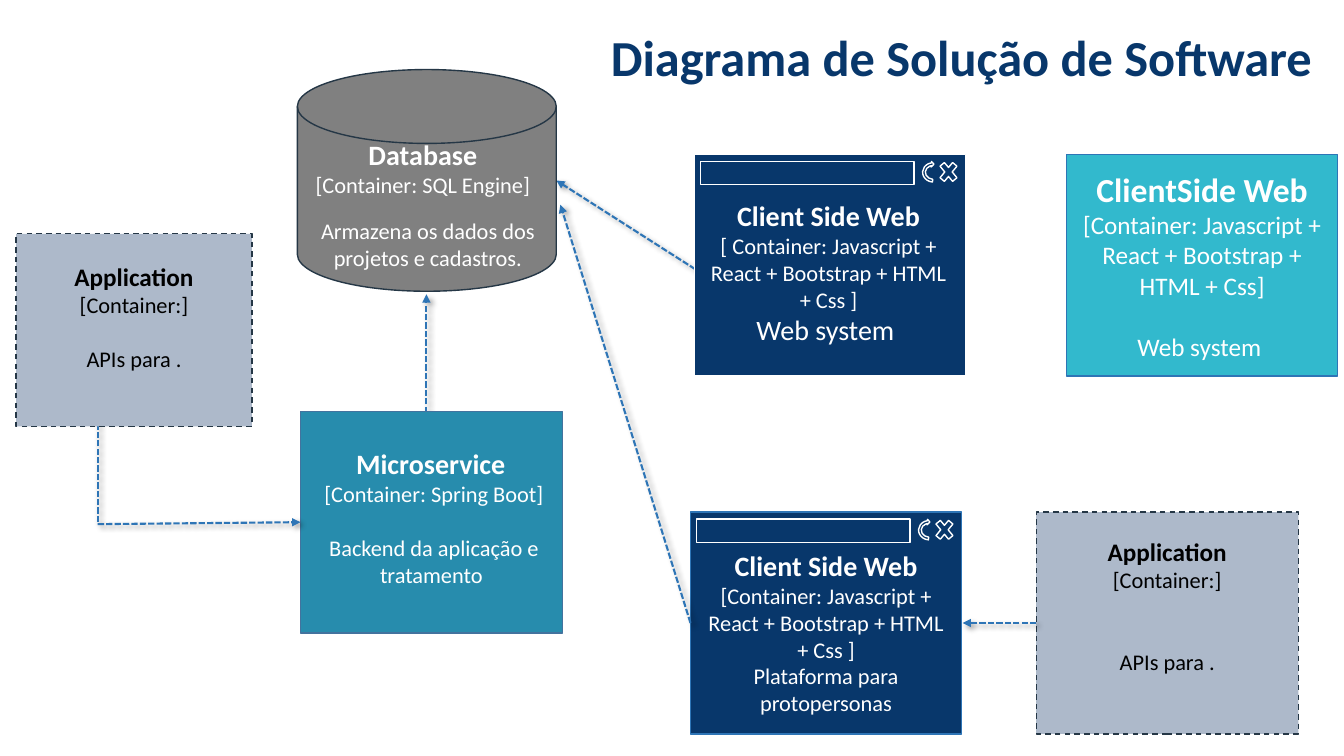
from lxml import etree
from pptx import Presentation
from pptx.dml import color
from pptx.enum import dml, shapes, text
from pptx.oxml import ns
from pptx.util import Pt

NAVY, BLUE, SLATE, WHITE, BLACK = "08376B", "2E75B6", "253746", "FFFFFF", "000000"
TEAL, CYAN, GREY, MIST = "278CAD", "32B9CD", "808080", "ADB9CA"
PRESET = shapes.MSO_SHAPE
STACK = "[Container: Javascript + React + Bootstrap + HTML + Css"


def rgb(hex_code):
    return color.RGBColor.from_string(hex_code)


def write(frame, lines, ink, align=text.PP_ALIGN.CENTER):
    """Write (words, size, bold, space before) lines as paragraphs."""
    frame.word_wrap = True
    for index, (words, size, bold, gap) in enumerate(lines):
        paragraph = frame.paragraphs[0] if index == 0 else frame.add_paragraph()
        paragraph.alignment = align
        paragraph.space_before = Pt(gap)
        run = paragraph.add_run()
        run.text = words
        run.font.name = "Calibri"
        run.font.size = Pt(size)
        run.font.bold = bold
        run.font.color.rgb = rgb(ink)


def add_block(slide, preset, box, fill, outline, dash=None):
    block = slide.shapes.add_shape(preset, *map(Pt, box))
    block.shadow.inherit = False
    if fill:
        block.fill.solid()
        block.fill.fore_color.rgb = rgb(fill)
    else:
        block.fill.background()
    block.line.color.rgb = rgb(outline)
    block.line.width = Pt(1)
    block.line.dash_style = dash
    return block


def add_label(slide, box, lines, ink=WHITE):
    frame = slide.shapes.add_textbox(*map(Pt, box)).text_frame
    write(frame, lines, ink)
    frame.auto_size = text.MSO_AUTO_SIZE.SHAPE_TO_FIT_TEXT


def add_flow(slide, start, end):
    flow = slide.shapes.add_connector(
        shapes.MSO_CONNECTOR.STRAIGHT, *map(Pt, start + end))
    flow.line.color.rgb = rgb(BLUE)
    flow.line.width = Pt(1.5)
    flow.line.dash_style = dml.MSO_LINE.SQUARE_DOT
    outline = flow.line._get_or_add_ln()
    etree.SubElement(outline, ns.qn("a:tailEnd"), type="triangle")
    effects = etree.SubElement(flow._element.spPr, ns.qn("a:effectLst"))
    shadow = etree.SubElement(
        effects, ns.qn("a:outerShdw"), blurRad=str(Pt(4)), dist=str(Pt(3)),
        dir="2700000", algn="tl", rotWithShape="0")
    tint = etree.SubElement(shadow, ns.qn("a:srgbClr"), val=BLACK)
    etree.SubElement(tint, ns.qn("a:alpha"), val="40000")


def add_browser(slide, left, top, outline, inner_fill, label_box, lines):
    add_block(slide, PRESET.RECTANGLE, (left, top, 193.7, 158.4), NAVY, outline)
    parts = [
        (PRESET.RECTANGLE, 4.3, 5, 152.6, 16.6, 0),
        (PRESET.MATH_MULTIPLY, 172.8, 2.2, 17.3, 20.9, 0),
        (PRESET.CIRCULAR_ARROW, 162.7, 4.3, 15.8, 17.3, 275),
    ]
    for preset, dx, dy, width, height, turn in parts:
        box = (left + dx, top + dy, width, height)
        add_block(slide, preset, box, inner_fill, WHITE).rotation = turn
    add_label(slide, label_box, lines)


def add_application(slide, box, label_box, gap):
    add_block(slide, PRESET.RECTANGLE, box, MIST, SLATE, dml.MSO_LINE.DASH)
    add_label(slide, label_box, [
        ("Application", 18, True, 0),
        ("[Container:]", 16, False, 0),
        ("APIs para .", 16, False, gap),
    ], BLACK)


def add_title(slide):
    title = slide.shapes.title
    title.left, title.top, title.width, title.height = map(
        Pt, (429.1, 15.1, 540.7, 51.1))
    frame = title.text_frame
    frame.vertical_anchor = text.MSO_ANCHOR.TOP
    write(frame, [("Diagrama de Solução de Software", 36, True, 0)], NAVY,
          text.PP_ALIGN.LEFT)
    frame.auto_size = text.MSO_AUTO_SIZE.NONE


def add_client(slide):
    client = add_block(
        slide, PRESET.RECTANGLE, (761.8, 110.2, 193.7, 158.4), CYAN, BLUE)
    client.text_frame.vertical_anchor = text.MSO_ANCHOR.MIDDLE
    write(client.text_frame, [
        ("ClientSide Web", 24, True, 0),
        (STACK + "]", 18, False, 0),
        ("Web system ", 18, False, 22),
    ], WHITE)


def main():
    deck = Presentation()
    deck.slide_width, deck.slide_height = Pt(960), Pt(540)
    slide = deck.slides.add_slide(deck.slide_layouts[5])
    add_title(slide)

    add_flow(slide, (527, 211.7), (397.4, 128.9))
    add_flow(slide, (69.8, 373), (69.8, 291.6))
    add_flow(slide, (304.6, 355), (304.6, 210.2))

    add_block(slide, PRESET.RECTANGLE, (214.6, 293.8, 187.2, 158.4), TEAL, "43739E")
    add_label(slide, (208.8, 315.4, 202.3, 128.2), [
        ("Microservice ", 20, True, 0),
        ("[Container: Spring Boot]", 16, False, 0),
        ("Backend da aplicação e tratamento ", 16, False, 19.5),
    ])

    add_browser(slide, 496.1, 110.2, WHITE, None, (496.1, 138.2, 191.5, 133.2), [
        ("Client Side Web", 20, True, 0),
        (STACK.replace("[", "[ ") + " ]", 16, False, 0),
        ("Web system ", 20, False, 0),
    ])

    add_block(slide, PRESET.FLOWCHART_MAGNETIC_DISK,
              (212.4, 49.7, 185, 158.4), GREY, SLATE)
    add_label(slide, (200.9, 95, 202.3, 51.1), [
        ("Database", 20, True, 0),
        ("[Container: SQL Engine]", 16, False, 0),
    ])
    add_label(slide, (204.5, 151.9, 202.3, 46.1), [
        ("Armazena os dados dos projetos e cadastros.", 16, False, 0),
    ])

    add_application(slide, (11.5, 167, 168.5, 137.5),
                    (11.5, 182.9, 168.5, 106.6), 19.5)

    add_browser(slide, 493.2, 365.8, BLUE, NAVY, (493.2, 388.1, 193.7, 128.2), [
        ("Client Side Web", 20, True, 0),
        (STACK + " ]", 16, False, 0),
        ("Plataforma para protopersonas", 16, False, 0),
    ])
    add_flow(slide, (493.2, 445), (400.3, 146.2))

    add_application(slide, (740.2, 365.8, 187.2, 158.4),
                    (742.3, 379.4, 182.9, 126), 39)
    add_flow(slide, (69.8, 374.4), (214.6, 373))
    add_flow(slide, (740.2, 445), (687.6, 445))
    add_client(slide)
    deck.save("out.pptx")


if __name__ == "__main__":
    main()
